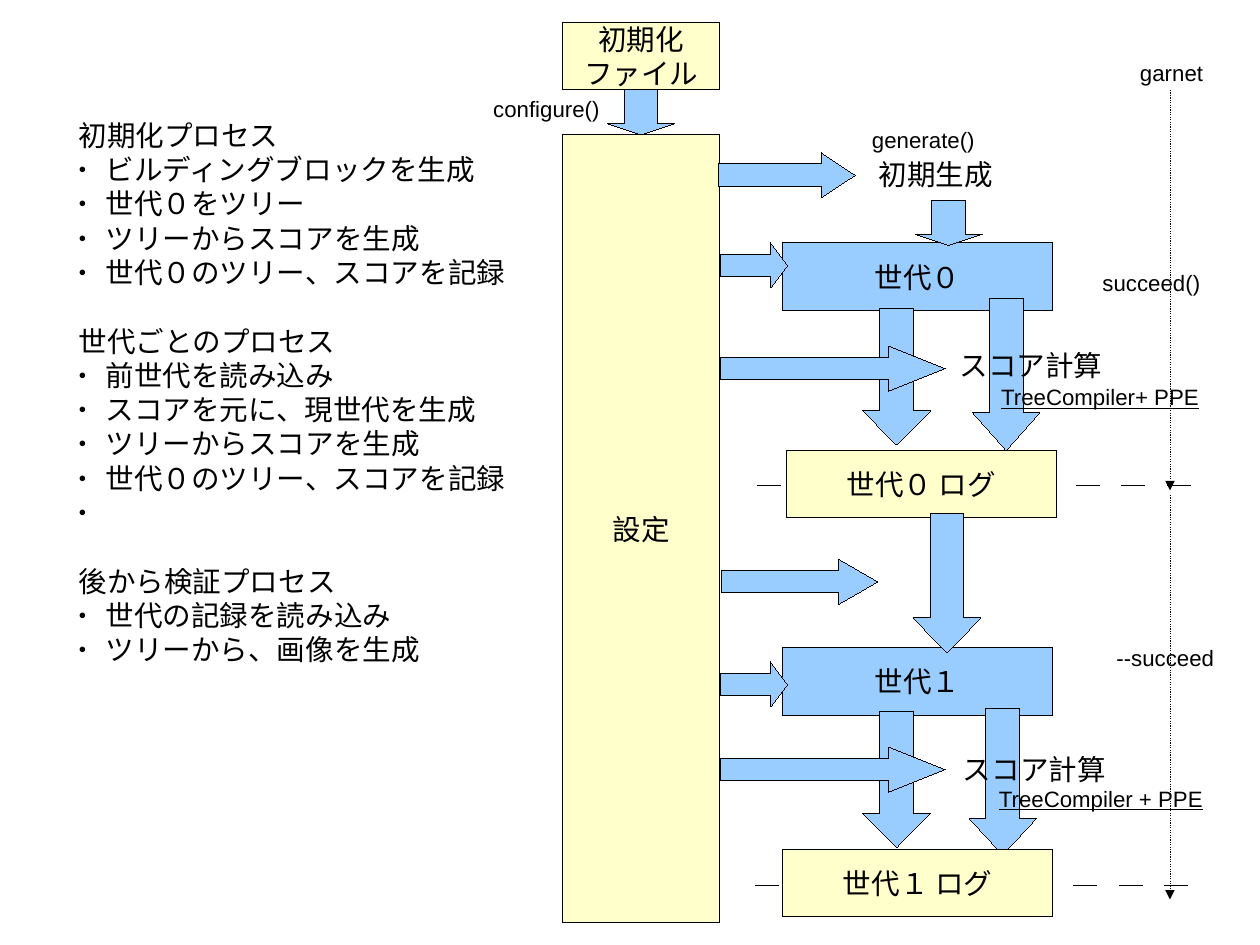
from dataclasses import dataclass

from lxml import etree
from pptx import Presentation
from pptx.dml.color import RGBColor
from pptx.enum import shapes, text
from pptx.oxml import ns
from pptx.util import Pt

BLACK = RGBColor(0x00, 0x00, 0x00)
BLUE = RGBColor(0x99, 0xCC, 0xFF)
CREAM = RGBColor(0xFF, 0xFF, 0xCC)
FONT = "Arial"
BODY, SMALL = 18, 14
LINE_PITCH = 21.6
BULLET_INDENT = 17
ARROW_BREADTH = {"right": 28.35, "down": 42.5}
ARROW_SHAPES = {
    "right": shapes.MSO_SHAPE.RIGHT_ARROW,
    "down": shapes.MSO_SHAPE.DOWN_ARROW,
}


@dataclass
class Block:
    words: str
    left: float
    top: float
    width: float = 170
    height: float = 42.5
    fill: RGBColor = CREAM


@dataclass
class Arrow:
    way: str
    left: float
    top: float
    length: float


@dataclass
class Label:
    words: str
    left: float
    top: float
    width: float
    size: int = SMALL
    underline: bool = False


@dataclass
class Rule:
    start: tuple[float, float]
    end: tuple[float, float]
    timeline: bool = False


@dataclass
class Process:
    heading: str
    steps: list[str]


PROCESSES = [
    Process("初期化プロセス", [
        "ビルディングブロックを生成", "世代０をツリー",
        "ツリーからスコアを生成", "世代０のツリー、スコアを記録"]),
    Process("世代ごとのプロセス", [
        "前世代を読み込み", "スコアを元に、現世代を生成",
        "ツリーからスコアを生成", "世代０のツリー、スコアを記録", " "]),
    Process("後から検証プロセス", ["世代の記録を読み込み", "ツリーから、画像を生成"]),
]

DIAGRAM = [
    Block("世代０", 493, 153, fill=BLUE),
    Block("世代１", 493, 408, fill=BLUE),
    Rule((475.9, 558), (759.6, 558)),
    Rule((477.4, 306), (761, 306)),
    Block("設定", 354.3, 85, 99.2, 496),
    Arrow("right", 453.6, 153, 42.5),
    Arrow("down", 543.6, 194.4, 85.9),
    Arrow("right", 453.6, 218, 141.7),
    Arrow("right", 454.8, 352.3, 98.2),
    Arrow("down", 543.6, 447.9, 85.9),
    Arrow("down", 610.4, 446.2, 92.2),
    Arrow("right", 453.6, 417, 42.5),
    Arrow("right", 453.6, 470.6, 141.7),
    Arrow("down", 612.6, 187.9, 95.8),
    Rule((737, 311.8), (737, 566.6), True),
    Rule((737, 56.7), (737, 308.9), True),
    Label("--succeed", 696.2, 402.2, 76.3),
    Label("TreeCompiler+ PPE", 623.5, 238, 139.2, underline=True),
    Arrow("down", 576.4, 126.2, 28.35),
    Label("TreeCompiler + PPE", 622.1, 491, 145, underline=True),
    Label("garnet", 711, 33.8, 54),
    Label("configure()", 303.6, 56.7, 81.4),
    Arrow("right", 452.4, 96.2, 86.4),
    Block("初期化ファイル", 354.3, 14.2, 99.2),
    Arrow("down", 382.6, 56.7, 28.35),
    Block("世代１ ログ", 493, 535),
    Block("世代０ ログ", 495.4, 283.5),
    Arrow("down", 575.3, 323.4, 87.8),
    Label("スコア計算", 597.3, 215.8, 104.4, BODY),
    Label("スコア計算", 599.5, 470, 104.4, BODY),
    Label("初期生成", 546.5, 95.6, 86.4, BODY),
    Label("generate()", 542.2, 76.3, 79.2),
    Label("succeed()", 687.4, 165.8, 76.3),
]


def add_span(para, words: str, size: int, underline: bool = False) -> None:
    span = para.add_run()
    span.text = words
    span.font.name = FONT
    span.font.size = Pt(size)
    span.font.color.rgb = BLACK
    if underline:
        span.font.underline = True


def add_bullet(para) -> None:
    props = para._p.get_or_add_pPr()
    props.set("marL", str(Pt(BULLET_INDENT)))
    props.set("indent", str(-Pt(BULLET_INDENT)))
    color = etree.SubElement(props, ns.qn("a:buClr"))
    etree.SubElement(color, ns.qn("a:srgbClr"), val=str(BLACK))
    etree.SubElement(props, ns.qn("a:buSzPct"), val="45000")
    etree.SubElement(props, ns.qn("a:buFont"), typeface=FONT)
    etree.SubElement(props, ns.qn("a:buChar"), char="●")


def add_processes(page, processes: list[Process]) -> None:
    box = page.shapes.add_textbox(Pt(42.4), Pt(70.6), Pt(297.4), Pt(406))
    frame = box.text_frame
    frame.word_wrap = True
    for number, process in enumerate(processes):
        para = frame.add_paragraph() if number else frame.paragraphs[0]
        if number:
            para.space_before = Pt(LINE_PITCH)
        add_span(para, process.heading, BODY)
        for step in process.steps:
            para = frame.add_paragraph()
            add_bullet(para)
            add_span(para, step, BODY)


def set_hairline(line):
    line.color.rgb = BLACK
    outline = line._get_or_add_ln()
    outline.set("w", "0")
    return outline


def style_shape(shape, fill: RGBColor) -> None:
    shape.shadow.inherit = False
    shape.fill.solid()
    shape.fill.fore_color.rgb = fill
    set_hairline(shape.line)


def add_block(page, block: Block) -> None:
    shape = page.shapes.add_shape(
        shapes.MSO_SHAPE.RECTANGLE, Pt(block.left), Pt(block.top),
        Pt(block.width), Pt(block.height))
    style_shape(shape, block.fill)
    frame = shape.text_frame
    frame.word_wrap = True
    frame.vertical_anchor = text.MSO_ANCHOR.MIDDLE
    para = frame.paragraphs[0]
    para.alignment = text.PP_ALIGN.CENTER
    add_span(para, block.words, BODY)


def add_arrow(page, arrow: Arrow) -> None:
    breadth = ARROW_BREADTH[arrow.way]
    size = (arrow.length, breadth) if arrow.way == "right" else (breadth, arrow.length)
    shape = page.shapes.add_shape(
        ARROW_SHAPES[arrow.way], Pt(arrow.left), Pt(arrow.top), *map(Pt, size))
    shape.adjustments[1] = 0.25 * arrow.length / min(size)
    style_shape(shape, BLUE)


def add_label(page, label: Label) -> None:
    height = 33.1 if label.size == BODY else 23
    box = page.shapes.add_textbox(
        Pt(label.left), Pt(label.top), Pt(label.width), Pt(height))
    box.text_frame.word_wrap = False
    box.text_frame.auto_size = text.MSO_AUTO_SIZE.SHAPE_TO_FIT_TEXT
    add_span(box.text_frame.paragraphs[0], label.words, label.size, label.underline)


def add_rule(page, rule: Rule) -> None:
    line = page.shapes.add_connector(
        shapes.MSO_CONNECTOR.STRAIGHT, *map(Pt, rule.start + rule.end))
    outline = set_hairline(line.line)
    if rule.timeline:
        etree.SubElement(outline, ns.qn("a:prstDash"), val="sysDot")
        etree.SubElement(outline, ns.qn("a:tailEnd"), type="triangle")
    else:
        dashes = etree.SubElement(outline, ns.qn("a:custDash"))
        etree.SubElement(dashes, ns.qn("a:ds"), d="1900000", sp="1850000")
    etree.SubElement(line._element.spPr, ns.qn("a:effectLst"))


DRAW = {Block: add_block, Arrow: add_arrow, Label: add_label, Rule: add_rule}


def main() -> None:
    deck = Presentation()
    deck.slide_width, deck.slide_height = Pt(793.7), Pt(595.28)
    page = deck.slides.add_slide(deck.slide_layouts[6])
    add_processes(page, PROCESSES)
    for item in DIAGRAM:
        DRAW[type(item)](page, item)
    deck.save("out.pptx")


if __name__ == "__main__":
    main()
